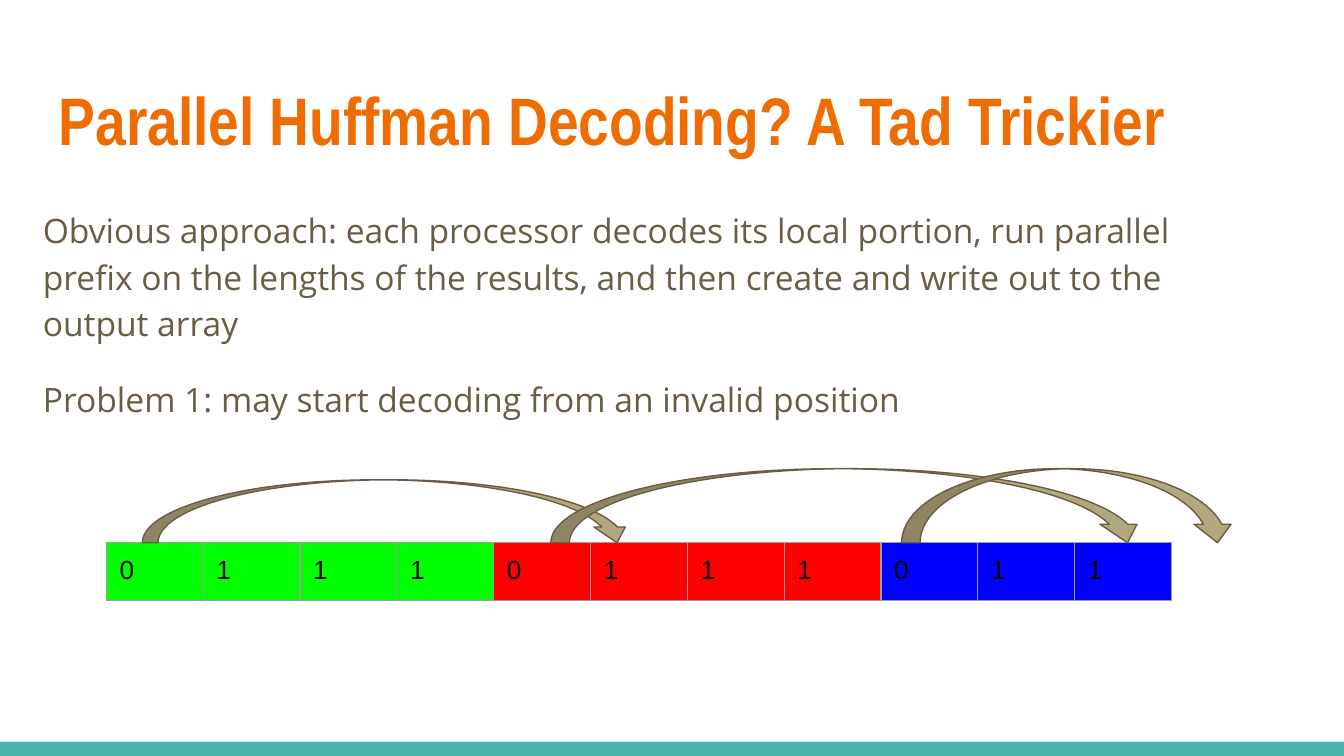
"""Build the slide on why parallel Huffman decoding is tricky."""
from lxml.etree import SubElement
from pptx import Presentation
from pptx.dml.color import RGBColor
from pptx.enum.shapes import MSO_SHAPE as Preset
from pptx.oxml.ns import qn
from pptx.util import Cm, Pt

WHITE = RGBColor(0xFF, 0xFF, 0xFF)
TEAL = RGBColor(0x4D, 0xB6, 0xAC)
ORANGE = RGBColor(0xEF, 0x6C, 0x00)
BROWN = RGBColor(0x69, 0x5D, 0x46)
SAND = RGBColor(0xB3, 0xA7, 0x7D)
GRAY = RGBColor(0x9E, 0x9E, 0x9E)
BLACK = RGBColor(0, 0, 0)
GREEN = RGBColor(0, 0xFF, 0)
RED = RGBColor(0xFF, 0, 0)
BLUE = RGBColor(0, 0, 0xFF)

BITS_LEFT, BITS_TOP = 2.01, 10.26
BIT_WIDTH, BIT_HEIGHT = 1.83, 1.06
PORTIONS = [("0111", GREEN), ("0111", RED), ("011", BLUE)]
JUMPS = [(2.69, 9.27, 1.19), (10.41, 11.25, 1.4), (17.04, 6.32, 1.4)]
APPROACH = [
    "Obvious approach: each processor decodes its local portion, run parallel "
    "prefix on the lengths of the results, and then create and write out to the "
    "output array",
    "Problem 1: may start decoding from an invalid position",
]


class Deck:
    """Hold the style and the slide being drawn."""

    inset = Cm(0.25)
    rule = Pt(0.75)

    def __init__(self, width, height):
        self.show = Presentation()
        self.show.slide_width, self.show.slide_height = Cm(width), Cm(height)
        self.slide = self.show.slides.add_slide(self.show.slide_layouts[6])
        backdrop = self.slide.background.fill
        backdrop.solid()
        backdrop.fore_color.rgb = WHITE

    def add_words(self, paragraph, words, font, size, color, bold=False):
        run = paragraph.add_run()
        run.text = words
        run.font.name, run.font.size, run.font.bold = font, Pt(size), bold
        run.font.color.rgb = color

    def pad(self, holder):
        holder.margin_left = holder.margin_right = self.inset
        holder.margin_top = holder.margin_bottom = self.inset

    def text(self, box, passages, font, size, color, bold=False, spacing=1.0, after=0):
        frame = self.slide.shapes.add_textbox(*map(Cm, box)).text_frame
        frame.word_wrap = True
        self.pad(frame)
        for index, words in enumerate(passages):
            paragraph = frame.add_paragraph() if index else frame.paragraphs[0]
            paragraph.line_spacing, paragraph.space_after = spacing, Pt(after)
            self.add_words(paragraph, words, font, size, color, bold)

    def shape(self, preset, box, fill, line=None):
        figure = self.slide.shapes.add_shape(preset, *map(Cm, box))
        figure.shadow.inherit = False
        figure.fill.solid()
        figure.fill.fore_color.rgb = fill
        if line is None:
            figure.line.fill.background()
        else:
            figure.line.color.rgb, figure.line.width = line, self.rule

    def outline(self, cell, color):
        properties = cell._tc.get_or_add_tcPr()
        for side in ("a:lnL", "a:lnR", "a:lnT", "a:lnB"):
            edge = SubElement(properties, qn(side), w=str(int(self.rule)))
            SubElement(SubElement(edge, qn("a:solidFill")), qn("a:srgbClr"), val=str(color))

    def bit_row(self, left, top, width, height, portions):
        bits = [(bit, color) for digits, color in portions for bit in digits]
        box = (left, top, width * len(bits), height)
        table = self.slide.shapes.add_table(1, len(bits), *map(Cm, box)).table
        table.first_row = table.horz_banding = False
        for column, (bit, color) in enumerate(bits):
            table.columns[column].width = Cm(width)
            cell = table.cell(0, column)
            self.pad(cell)
            self.outline(cell, GRAY)
            cell.fill.solid()
            cell.fill.fore_color.rgb = color
            self.add_words(cell.text_frame.paragraphs[0], bit, "Arial", 14, BLACK)


def main():
    deck = Deck(25.4, 14.29)
    deck.shape(Preset.RECTANGLE, (0, 14.02, 25.4, 0.27), TEAL)
    deck.text((0.86, 1.24, 23.67, 1.96), ["Parallel Huffman Decoding? A Tad Trickier"],
              "Arial Narrow", 36, ORANGE, bold=True)
    deck.text((0.56, 3.61, 23.6, 9.5), APPROACH, "Open Sans", 18, BROWN,
              spacing=1.15, after=16)
    deck.bit_row(BITS_LEFT, BITS_TOP, BIT_WIDTH, BIT_HEIGHT, PORTIONS)
    for left, span, rise in JUMPS:
        deck.shape(Preset.CURVED_DOWN_ARROW, (left, BITS_TOP - rise, span, rise), SAND, BROWN)
    deck.show.save("out.pptx")


if __name__ == "__main__":
    main()
